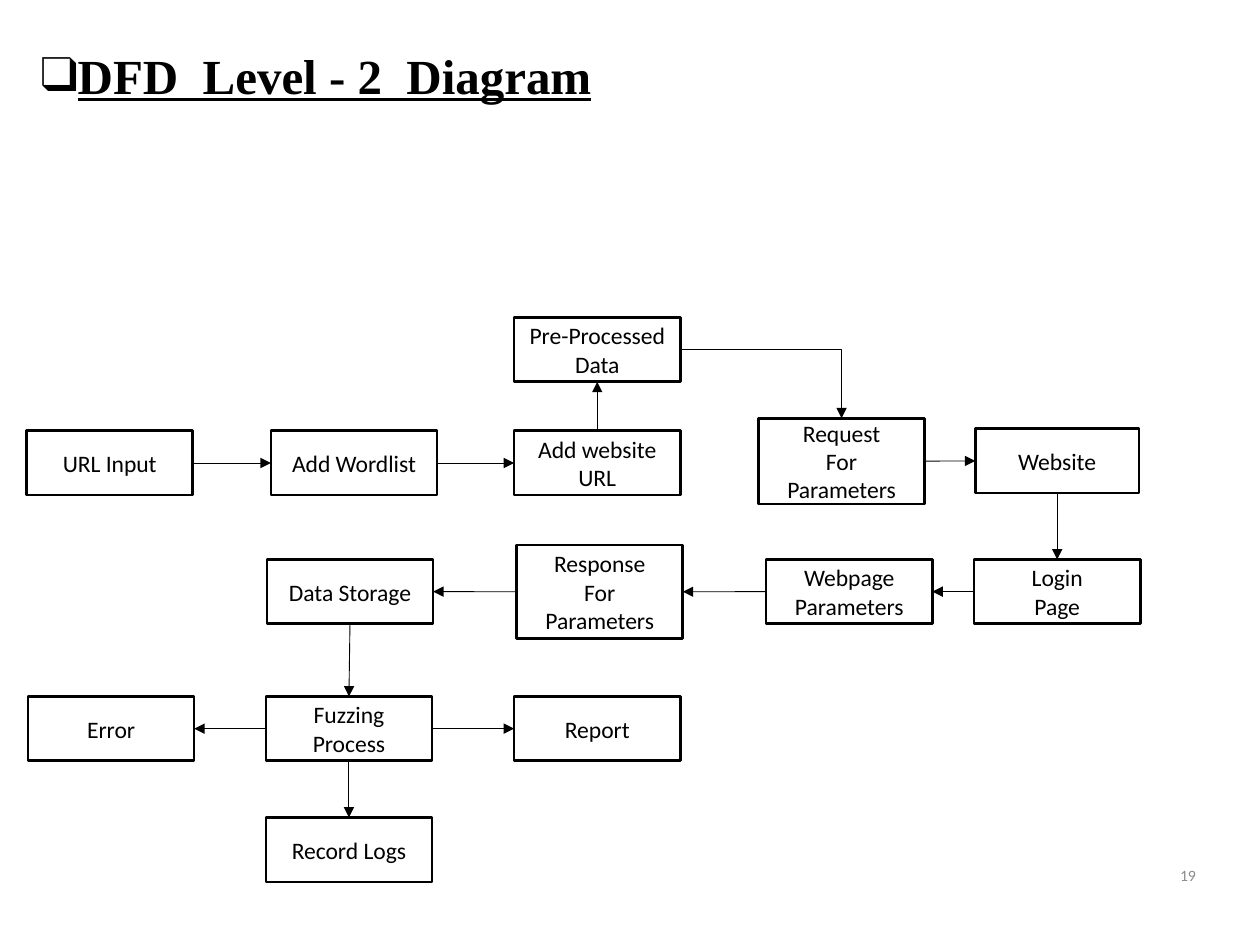
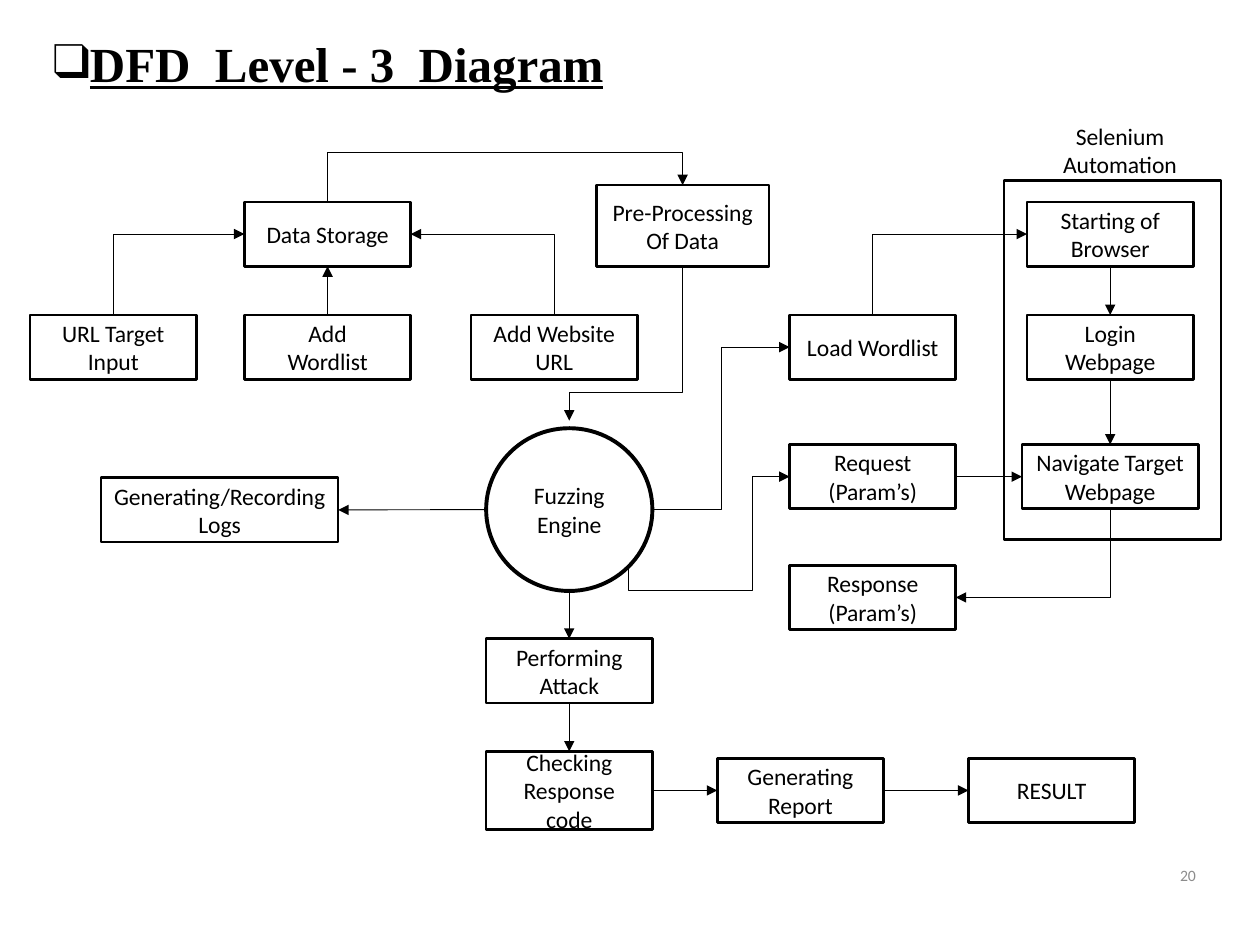
"""Builds the level 2 and level 3 data flow diagrams of the fuzzing tool."""
from dataclasses import dataclass
from math import sqrt

from lxml import etree
from pptx import Presentation
from pptx.dml.color import RGBColor
from pptx.enum.shapes import MSO_CONNECTOR, MSO_SHAPE
from pptx.enum.text import MSO_ANCHOR, MSO_AUTO_SIZE, PP_ALIGN
from pptx.oxml.ns import qn
from pptx.util import Pt

RECTANGLE, CIRCLE = MSO_SHAPE.RECTANGLE, MSO_SHAPE.FLOWCHART_CONNECTOR
STRAIGHT, ELBOW = MSO_CONNECTOR.STRAIGHT, MSO_CONNECTOR.ELBOW
LEFT_ALIGN, CENTER, RIGHT_ALIGN = PP_ALIGN.LEFT, PP_ALIGN.CENTER, PP_ALIGN.RIGHT
MIDDLE_ANCHOR, TOP_ANCHOR = MSO_ANCHOR.MIDDLE, MSO_ANCHOR.TOP
NO_AUTOFIT = MSO_AUTO_SIZE.NONE

BLACK, WHITE, GRAY = "000000", "FFFFFF", "8C8C8C"
BODY_FONT, TITLE_FONT = "Calibri", "Times New Roman"
TOP, LEFT, BOTTOM, RIGHT, LOWER_RIGHT = range(5)
TITLE_ONLY = 5
TITLE_INDENT = 20.25
DIAGONAL = 0.5 + sqrt(0.5) / 2
SIDE_FRACTIONS = {
    TOP: (0.5, 0), LEFT: (0, 0.5), BOTTOM: (0.5, 1), RIGHT: (1, 0.5),
    LOWER_RIGHT: (DIAGONAL, DIAGONAL),
}


@dataclass(frozen=True)
class Box:
    """A process, store or frame, measured in points."""
    label: str
    left: float
    top: float
    width: float = 95
    height: float = 36.8
    outline: float = 1.5
    kind: int = RECTANGLE

    def point(self, side: int) -> tuple[float, float]:
        """Return the place on the outline that a side stands for."""
        across, down = SIDE_FRACTIONS[side]
        return self.left + across * self.width, self.top + down * self.height


@dataclass(frozen=True)
class Flow:
    """An arrow between two boxes; bends holds elbow adjustments, None is straight."""
    start: str
    start_side: int
    end: str
    end_side: int
    bends: tuple[float, ...] | None = None
    gap_above: float = 0


@dataclass(frozen=True)
class Caption:
    """A piece of free text, measured in points."""
    text: str
    left: float
    top: float
    width: float
    height: float
    size: float
    color: str
    align: int
    anchor: int = TOP_ANCHOR


@dataclass(frozen=True)
class Diagram:
    """All content of one slide."""
    title: str
    title_left: float
    title_top: float
    number: str
    boxes: dict[str, Box]
    flows: tuple[Flow, ...]
    captions: tuple[Caption, ...] = ()


LEVEL_2 = Diagram(
    "DFD  Level - 2  Diagram", 16, 22.3, "19",
    {
        "url": Box("URL Input", 15.2, 246.2),
        "wordlist": Box("Add Wordlist", 154.8, 246.2),
        "website url": Box("Add website URL", 293.8, 246.2),
        "pre-processed": Box("Pre-Processed\nData", 293.8, 181.4),
        "request": Box("Request\nFor\nParameters", 433.4, 239, height=49),
        "website": Box("Website", 557.3, 245, width=93.6),
        "login": Box("Login\nPage", 556.6, 319.7),
        "webpage": Box("Webpage\nParameters", 437.8, 319.7),
        "response": Box("Response\nFor\nParameters", 295.2, 311.5, height=53.3),
        "storage": Box("Data Storage", 152.5, 319.7),
        "fuzzing": Box("Fuzzing\nProcess", 151.9, 398),
        "error": Box("Error", 16, 398),
        "report": Box("Report", 293.8, 398),
        "logs": Box("Record Logs", 151.9, 467.2),
    },
    (
        Flow("url", RIGHT, "wordlist", LEFT),
        Flow("wordlist", RIGHT, "website url", LEFT),
        Flow("website url", TOP, "pre-processed", BOTTOM),
        Flow("pre-processed", RIGHT, "request", TOP, ()),
        Flow("request", RIGHT, "website", LEFT),
        Flow("website", BOTTOM, "login", TOP),
        Flow("login", LEFT, "webpage", RIGHT),
        Flow("webpage", LEFT, "response", RIGHT),
        Flow("response", LEFT, "storage", RIGHT),
        Flow("storage", BOTTOM, "fuzzing", TOP),
        Flow("fuzzing", LEFT, "error", RIGHT),
        Flow("fuzzing", RIGHT, "report", LEFT),
        Flow("fuzzing", BOTTOM, "logs", TOP),
    ),
)

LEVEL_3 = Diagram(
    "DFD  Level - 3  Diagram", 23, 15.3, "20",
    {
        "automation": Box("", 573.8, 103, 124, 205.4),
        "storage": Box("Data Storage", 139.7, 115.4),
        "pre-processing": Box("Pre-Processing\nOf Data", 340.7, 105.8, 98.8, 46.6),
        "url": Box("URL Target\nInput", 17.2, 180),
        "add wordlist": Box("Add\nWordlist", 139.7, 180),
        "website url": Box("Add Website\nURL", 269.2, 180),
        "load wordlist": Box("Load Wordlist", 451.2, 180),
        "browser": Box("Starting of\nBrowser", 586.9, 115.4),
        "login": Box("Login\nWebpage", 586.9, 180),
        "navigate": Box("Navigate Target Webpage", 584, 254, 100.8),
        "request": Box("Request (Param’s)", 451.2, 254),
        "response": Box("Response\n(Param’s)", 451.2, 323),
        "engine": Box("Fuzzing Engine", 277.8, 244.7, 95, 93, 2.25, CIRCLE),
        "logs": Box("Generating/Recording Logs", 57.8, 273, 135.5),
        "attack": Box("Performing\nAttack", 277.8, 365),
        "checking": Box("Checking Response code", 277.8, 429.4, height=44.6),
        "report": Box("Generating\nReport", 409.9, 433.3),
        "result": Box("RESULT", 553.4, 433.3),
    },
    (
        Flow("url", TOP, "storage", LEFT, ()),
        Flow("add wordlist", TOP, "storage", BOTTOM),
        Flow("website url", TOP, "storage", RIGHT, ()),
        Flow("storage", TOP, "pre-processing", TOP, (2.92,)),
        Flow("pre-processing", BOTTOM, "engine", TOP, (0.82,), gap_above=4.3),
        Flow("engine", LEFT, "logs", RIGHT),
        Flow("engine", RIGHT, "load wordlist", LEFT, (0.5,)),
        Flow("engine", LOWER_RIGHT, "request", LEFT, (-0.26, 0.77)),
        Flow("load wordlist", TOP, "browser", LEFT, ()),
        Flow("browser", BOTTOM, "login", TOP),
        Flow("login", BOTTOM, "navigate", TOP),
        Flow("request", RIGHT, "navigate", LEFT),
        Flow("navigate", BOTTOM, "response", RIGHT, ()),
        Flow("engine", BOTTOM, "attack", TOP),
        Flow("attack", BOTTOM, "checking", TOP),
        Flow("checking", RIGHT, "report", LEFT),
        Flow("report", RIGHT, "result", LEFT),
    ),
    (Caption("Selenium Automation", 589.5, 66.2, 101, 40, 13.5, BLACK, CENTER),),
)


def rgb(code: str) -> RGBColor:
    """Turn a hex string into a colour."""
    return RGBColor.from_string(code)


def format_text(frame, size: float, color: str, align: int, anchor: int, font: str = BODY_FONT) -> None:
    """Style every paragraph and run of a text frame."""
    frame.word_wrap = True
    frame.vertical_anchor = anchor
    for paragraph in frame.paragraphs:
        paragraph.alignment = align
        for run in paragraph.runs:
            run.font.name = font
            run.font.size = Pt(size)
            run.font.color.rgb = rgb(color)


def draw_title(slide, diagram: Diagram) -> None:
    """Place the underlined title with its square bullet."""
    title = slide.shapes.title
    title.left, title.top = Pt(diagram.title_left), Pt(diagram.title_top)
    title.width, title.height = Pt(397), Pt(41)
    frame = title.text_frame
    frame.text = diagram.title
    frame.auto_size = NO_AUTOFIT
    format_text(frame, 28, BLACK, LEFT_ALIGN, TOP_ANCHOR, TITLE_FONT)
    paragraph = frame.paragraphs[0]
    for run in paragraph.runs:
        run.font.bold = run.font.underline = True
    properties = paragraph._p.get_or_add_pPr()
    properties.set("marL", str(Pt(TITLE_INDENT)))
    properties.set("indent", str(-Pt(TITLE_INDENT)))
    etree.SubElement(properties, qn("a:buFont"), typeface=TITLE_FONT)
    etree.SubElement(properties, qn("a:buChar"), char="❑")


def draw_box(slide, box: Box):
    """Draw one outlined box and return its shape."""
    shape = slide.shapes.add_shape(
        box.kind, Pt(box.left), Pt(box.top), Pt(box.width), Pt(box.height))
    shape.shadow.inherit = False
    shape.fill.solid()
    shape.fill.fore_color.rgb = rgb(WHITE)
    shape.line.color.rgb = rgb(BLACK)
    shape.line.width = Pt(box.outline)
    if box.label:
        shape.text_frame.text = box.label
        format_text(shape.text_frame, 13.5, BLACK, CENTER, MIDDLE_ANCHOR)
    return shape


def add_elbow(slide, flow: Flow, start: tuple[float, float], end: tuple[float, float]):
    """Add a bent connector, turned a quarter when it sets off vertically."""
    (x0, y0), (x1, y1) = start, end
    vertical = flow.start_side in (TOP, BOTTOM, LOWER_RIGHT)
    run, rise = (y1 - y0, x0 - x1) if vertical else (x1 - x0, y1 - y0)
    middle_x, middle_y = (x0 + x1) / 2, (y0 + y1) / 2
    connector = slide.shapes.add_connector(
        ELBOW, Pt(middle_x - run / 2), Pt(middle_y - rise / 2),
        Pt(middle_x + run / 2), Pt(middle_y + rise / 2))
    properties = connector.element.spPr
    if vertical:
        properties.find(qn("a:xfrm")).set("rot", "5400000")
    geometry = properties.find(qn("a:prstGeom"))
    geometry.set("prst", f"bentConnector{len(flow.bends) + 2}")
    guides = geometry.find(qn("a:avLst"))
    for index, bend in enumerate(flow.bends, 1):
        etree.SubElement(guides, qn("a:gd"), name=f"adj{index}", fmla=f"val {round(bend * 100000)}")
    return connector


def draw_flow(slide, flow: Flow, boxes: dict[str, Box], shapes: dict) -> None:
    """Draw one arrow, joined to rectangles when it is straight."""
    start_box, end_box = boxes[flow.start], boxes[flow.end]
    start = start_box.point(flow.start_side)
    end_x, end_y = end_box.point(flow.end_side)
    end = end_x, end_y - flow.gap_above
    if flow.bends is None:
        connector = slide.shapes.add_connector(STRAIGHT, *map(Pt, start + end))
        if start_box.kind == RECTANGLE:
            connector.begin_connect(shapes[flow.start], flow.start_side)
        if end_box.kind == RECTANGLE:
            connector.end_connect(shapes[flow.end], flow.end_side)
    else:
        connector = add_elbow(slide, flow, start, end)
    connector.line.color.rgb = rgb(BLACK)
    connector.line.width = Pt(0.5)
    properties = connector.element.spPr
    etree.SubElement(properties.find(qn("a:ln")), qn("a:tailEnd"), type="triangle")
    etree.SubElement(properties, qn("a:effectLst"))


def draw_caption(slide, caption: Caption) -> None:
    """Draw one piece of free text."""
    holder = slide.shapes.add_textbox(
        Pt(caption.left), Pt(caption.top), Pt(caption.width), Pt(caption.height))
    holder.text_frame.text = caption.text
    format_text(holder.text_frame, caption.size, caption.color, caption.align, caption.anchor)


def draw_diagram(deck, diagram: Diagram) -> None:
    """Add one slide with its title, boxes, arrows and captions."""
    slide = deck.slides.add_slide(deck.slide_layouts[TITLE_ONLY])
    draw_title(slide, diagram)
    shapes = {key: draw_box(slide, box) for key, box in diagram.boxes.items()}
    for flow in diagram.flows:
        draw_flow(slide, flow, diagram.boxes, shapes)
    page_number = Caption(
        diagram.number, 648, 486, 42.5, 28, 9, GRAY, RIGHT_ALIGN, MIDDLE_ANCHOR)
    for caption in (*diagram.captions, page_number):
        draw_caption(slide, caption)


def main() -> None:
    """Build and save the deck."""
    deck = Presentation()
    deck.slide_width, deck.slide_height = Pt(720), Pt(540)
    for diagram in (LEVEL_2, LEVEL_3):
        draw_diagram(deck, diagram)
    deck.save("out.pptx")


if __name__ == "__main__":
    main()
